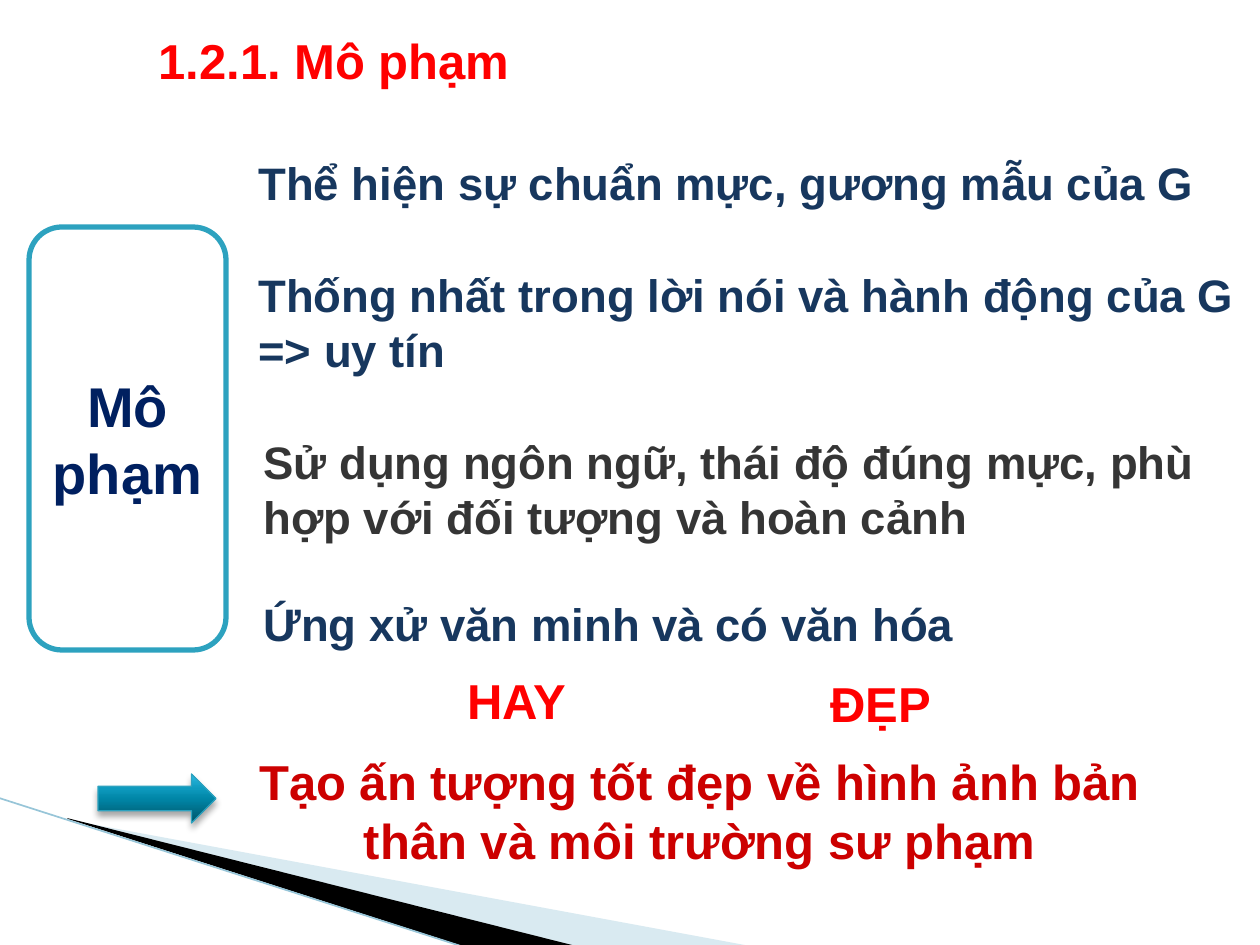
from dataclasses import dataclass

from lxml.etree import SubElement
from pptx import Presentation
from pptx.dml.color import RGBColor
from pptx.enum.shapes import MSO_CONNECTOR, MSO_SHAPE
from pptx.enum.text import MSO_ANCHOR as Anchor, MSO_AUTO_SIZE as AutoSize, PP_ALIGN as Align
from pptx.oxml.ns import qn
from pptx.util import Emu, Inches, Pt

PIXEL = Inches(1) / 126
RED = RGBColor(0xFF, 0x00, 0x00)
CRIMSON = RGBColor(0xCC, 0x00, 0x00)
NAVY = RGBColor(0x17, 0x37, 0x5E)
DEEP_BLUE = RGBColor(0x00, 0x20, 0x60)
CHARCOAL = RGBColor(0x35, 0x35, 0x35)
TEAL = RGBColor(0x2D, 0xA2, 0xBF)
PALE_BLUE = RGBColor(0xA0, 0xCB, 0xDC)
EDGE_BLUE = RGBColor(0x97, 0xC5, 0xD8)
BLACK = RGBColor(0x00, 0x00, 0x00)
WHITE = RGBColor(0xFF, 0xFF, 0xFF)
ARROW_STOPS = (
    (0, RGBColor(0x00, 0x53, 0x67)),
    (50, RGBColor(0x00, 0x86, 0xA7)),
    (70, RGBColor(0x0E, 0x9A, 0xBE)),
    (100, RGBColor(0x2C, 0xB9, 0xE3)),
)


@dataclass
class Label:
    text: str
    left: int
    top: int
    width: int
    height: int
    color: RGBColor
    size: int = 26
    wrap: bool = False
    align: Align = Align.LEFT


@dataclass
class Wedge:
    points: list[tuple[int, int]]
    color: RGBColor
    opacity: int = 100


TITLE = Label("1.2.1. Mô phạm", 146, 24, 381, 72, RED, 28)
LABELS = [
    Label("Thể hiện sự chuẩn mực, gương mẫu của G", 246, 149, 965, 68, NAVY),
    Label("Thống nhất trong lời nói và hành động của G => uy tín",
          246, 261, 1014, 123, NAVY, wrap=True),
    Label("Sử dụng ngôn ngữ, thái độ đúng mực, phù hợp với đối tượng và hoàn cảnh",
          251, 428, 969, 123, CHARCOAL, wrap=True),
    Label("Ứng xử văn minh và có văn hóa", 251, 590, 723, 68, NAVY),
    Label("HAY", 455, 664, 125, 72, RED, 28),
    Label("ĐẸP", 818, 667, 127, 72, RED, 28),
    Label("Tạo ấn tượng tốt đẹp về hình ảnh bản thân và môi trường sư phạm",
          237, 745, 925, 131, CRIMSON, 28, True, Align.CENTER),
]
WEDGES = [
    Wedge([(69, 820), (750, 946), (575, 946), (69, 819)], PALE_BLUE, 40),
    Wedge([(67, 818), (576, 946), (469, 948), (68, 819)], BLACK),
]


def px(*lengths: int) -> list[Emu]:
    return [Emu(round(length * PIXEL)) for length in lengths]


def set_opacity(color, percent: int) -> None:
    SubElement(color, qn("a:alpha")).set("val", str(percent * 1000))


def write(frame, text: str, size: int, color: RGBColor, align: Align) -> None:
    frame.text = text
    para = frame.paragraphs[0]
    para.alignment = align
    font = para.runs[0].font
    font.name, font.size, font.bold = "Arial", Pt(size), True
    font.color.rgb = color


def fill_label(box, label: Label) -> None:
    frame = box.text_frame
    write(frame, label.text, label.size, label.color, label.align)
    frame.word_wrap = label.wrap
    frame.auto_size = AutoSize.SHAPE_TO_FIT_TEXT
    frame.vertical_anchor = Anchor.TOP


def draw_label(page, label: Label) -> None:
    box = page.shapes.add_textbox(*px(label.left, label.top, label.width, label.height))
    fill_label(box, label)


def draw_title(page) -> None:
    title = page.shapes.title
    title.left, title.top, title.width, title.height = px(
        TITLE.left, TITLE.top, TITLE.width, TITLE.height)
    fill_label(title, TITLE)


def draw_wedge(page, wedge: Wedge) -> None:
    start, *others = wedge.points
    builder = page.shapes.build_freeform(*start, scale=PIXEL)
    builder.add_line_segments(others)
    shape = builder.convert_to_shape()
    shape.shadow.inherit = False
    shape.fill.solid()
    shape.fill.fore_color.rgb = wedge.color
    shape.line.fill.background()
    if wedge.opacity < 100:
        set_opacity(shape.element.spPr.find(".//" + qn("a:srgbClr")), wedge.opacity)


def draw_edge(page) -> None:
    edge = page.shapes.add_connector(MSO_CONNECTOR.STRAIGHT, *px(-1, 798, 467, 948))
    edge.line.color.rgb = EDGE_BLUE
    edge.line.width = Pt(0.95)
    SubElement(edge.element.spPr, qn("a:effectLst"))


def draw_topic(page) -> None:
    topic = page.shapes.add_shape(MSO_SHAPE.ROUNDED_RECTANGLE, *px(29, 227, 197, 423))
    topic.shadow.inherit = False
    topic.fill.solid()
    topic.fill.fore_color.rgb = WHITE
    topic.line.color.rgb = TEAL
    topic.line.width = Pt(3)
    write(topic.text_frame, "Mô phạm", 32, DEEP_BLUE, Align.CENTER)
    topic.text_frame.vertical_anchor = Anchor.MIDDLE


def draw_arrow(page) -> None:
    arrow = page.shapes.add_shape(MSO_SHAPE.RIGHT_ARROW, *px(98, 774, 118, 49))
    arrow.line.color.rgb = TEAL
    arrow.line.width = Pt(0.75)
    arrow.fill.gradient()
    arrow.fill.gradient_angle = 90
    properties = arrow.element.spPr
    stops = properties.find(".//" + qn("a:gsLst"))
    for stop in list(stops):
        stops.remove(stop)
    for position, color in ARROW_STOPS:
        stop = SubElement(stops, qn("a:gs"), pos=str(position * 1000))
        SubElement(stop, qn("a:srgbClr"), val=str(color))
    arrow.shadow.inherit = False
    shadow = SubElement(
        properties.find(qn("a:effectLst")), qn("a:outerShdw"),
        blurRad=str(Pt(4)), dist=str(Pt(3)), dir="5400000", rotWithShape="0")
    set_opacity(SubElement(shadow, qn("a:srgbClr"), val=str(BLACK)), 35)


def main() -> None:
    deck = Presentation()
    deck.slide_width, deck.slide_height = Inches(10), Inches(7.5)
    page = deck.slides.add_slide(deck.slide_layouts[5])
    draw_title(page)
    for wedge in WEDGES:
        draw_wedge(page, wedge)
    draw_edge(page)
    draw_topic(page)
    draw_arrow(page)
    for label in LABELS:
        draw_label(page, label)
    deck.save("out.pptx")


main()
